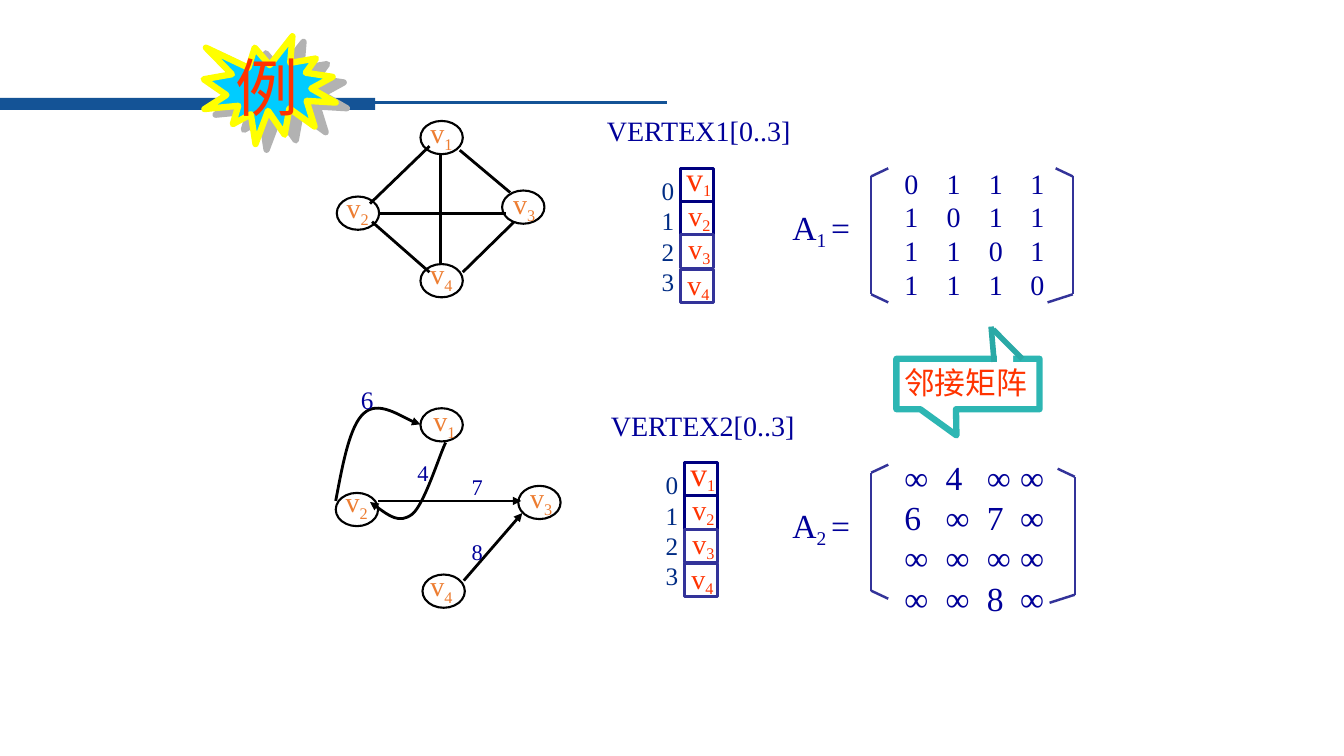
"""Build a slide that pairs two example graphs with their vertex arrays and adjacency matrices."""
from dataclasses import dataclass
from lxml import etree
from pptx import Presentation
from pptx.dml.color import RGBColor
from pptx.enum.shapes import MSO_CONNECTOR, MSO_SHAPE
from pptx.enum.text import MSO_ANCHOR, MSO_AUTO_SIZE, PP_ALIGN
from pptx.oxml.ns import qn
from pptx.util import Pt

PX = 9144
STRAIGHT = MSO_CONNECTOR.STRAIGHT
OVAL, RECT = MSO_SHAPE.OVAL, MSO_SHAPE.RECTANGLE
CALLOUT, BURST = MSO_SHAPE.RECTANGULAR_CALLOUT, MSO_SHAPE.EXPLOSION1
LEFT, CENTER, TOP = PP_ALIGN.LEFT, PP_ALIGN.CENTER, MSO_ANCHOR.TOP
GROW, FIXED = MSO_AUTO_SIZE.SHAPE_TO_FIT_TEXT, MSO_AUTO_SIZE.NONE


@dataclass(frozen=True)
class Theme:
    serif: str = "Times New Roman"
    chinese: str = "Noto Sans CJK SC"
    bar: str = "145396"
    edge: str = "000000"
    node: str = "ED7D31"
    math: str = "000099"
    index: str = "002C84"
    bracket: str = "333399"
    cell: str = "000080"
    accent: str = "FF3300"
    callout: str = "2DB6B3"
    pointer: str = "2AA9A6"
    white: str = "FFFFFF"
    burst: str = "00CCFF"
    burst_edge: str = "FFFF00"
    burst_shadow: str = "B2B2B2"
    title_size: int = 45
    large: int = 24
    caption: int = 22
    body: int = 20
    small: int = 18
    weight: int = 16


@dataclass(frozen=True)
class Node:
    x: int
    y: int
    label_dx: int
    label_dy: int


@dataclass(frozen=True)
class Matrix:
    number: int
    rows: tuple[str, ...]
    y: int
    size: int
    stops: tuple[int, ...]
    name_y: int
    left_y: int
    right_x: int
    right_y: int


THEME = Theme()
UNDIRECTED = [Node(417, 120, 0, -10), Node(334, 195, 0, -11), Node(498, 189, 1, -9), Node(417, 262, 0, -12)]
DIRECTED = [Node(417, 405, 3, -10), Node(333, 489, 0, -13), Node(514, 482, 2, -10), Node(419, 570, -2, -11)]
EDGES = [(367, 202, 426, 145), (376, 212, 502, 212), (437, 154, 437, 262),
         (456, 149, 506, 191), (459, 270, 510, 220), (369, 220, 426, 270)]
ARROWS = [(375, 497, 517, 497), (460, 576, 518, 509)]
CURVES = [("tailEnd", [(333, 497), (340, 460), (347, 422), (361, 410), (375, 397), (407, 419), (417, 421)]),
          ("headEnd", [(367, 498), (382, 509), (396, 520), (409, 510), (421, 500), (436, 451), (442, 439)])]
WEIGHTS = [("6", 348, 376, THEME.small), ("4", 404, 451, THEME.weight),
           ("7", 458, 464, THEME.weight), ("8", 458, 529, THEME.weight)]
CELL_LABELS = [(-4, -15, THEME.large), (-2, 25, THEME.body), (-2, 58, THEME.body), (-3, 93, THEME.body)]
MATRICES = [
    Matrix(1, ("0\t1\t1\t1", "1\t0\t1\t1", "1\t1\t0\t1", "1\t1\t1\t0"),
           160, THEME.body, (42, 84, 125), 200, 175, 1064, 175),
    Matrix(2, ("∞\t4\t∞\t∞", "6\t∞\t7\t∞", "∞\t∞\t∞\t∞", "∞\t∞\t8\t∞"),
           448, THEME.large, (41, 82, 115), 496, 469, 1066, 473),
]

deck = Presentation()
deck.slide_width, deck.slide_height = 1333 * PX, 750 * PX
slide = deck.slides.add_slide(deck.slide_layouts[5])


def style_line(outline, color: str, width: float) -> None:
    outline.color.rgb = RGBColor.from_string(color)
    outline.width = Pt(width)


def add_arrowhead(outline, end: str) -> None:
    etree.SubElement(outline._get_or_add_ln(), qn(f"a:{end}"), type="triangle")


def draw_line(ends: tuple[int, int, int, int], color: str, width: float, arrow: bool = False) -> None:
    connector = slide.shapes.add_connector(STRAIGHT, *(v * PX for v in ends))
    style_line(connector.line, color, width)
    if arrow:
        add_arrowhead(connector.line, "tailEnd")
    etree.SubElement(connector._element.spPr, qn("a:effectLst"))


def draw_shape(kind, box: tuple[int, int, int, int], fill: str = "", line: str = "", width: float = 1):
    shape = slide.shapes.add_shape(kind, *(v * PX for v in box))
    shape.shadow.inherit = False
    if fill:
        shape.fill.solid()
        shape.fill.fore_color.rgb = RGBColor.from_string(fill)
    else:
        shape.fill.background()
    if line:
        style_line(shape.line, line, width)
    else:
        shape.line.fill.background()
    return shape


def style_text(paragraph, size: int, color: str, font: str = THEME.serif) -> None:
    paragraph.font.name = font
    paragraph.font.size = Pt(size)
    paragraph.font.color.rgb = RGBColor.from_string(color)
    etree.SubElement(paragraph.font._element, qn("a:ea"), typeface=THEME.chinese)


def draw_text(box: tuple[int, int, int, int], lines: tuple[str, ...], size: int, color: str,
              font: str = THEME.serif, align=LEFT, wrap: bool = False):
    frame = slide.shapes.add_textbox(*(v * PX for v in box)).text_frame
    frame.word_wrap = wrap
    frame.auto_size = FIXED if wrap else GROW
    for i, line in enumerate(lines):
        paragraph = frame.add_paragraph() if i else frame.paragraphs[0]
        paragraph.alignment = align
        if line:
            paragraph.add_run().text = line
        style_text(paragraph, size, color, font)
    return frame


def draw_subscripted(box: tuple[int, int, int, int], parts: tuple[str, ...], size: int, color: str,
                     drop: int, sub_size: int = 0) -> None:
    paragraph = draw_text(box, ("",), size, color).paragraphs[0]
    for i, part in enumerate(parts):
        run = paragraph.add_run()
        run.text = part
        if i == 1:
            run._r.get_or_add_rPr().set("baseline", str(-1000 * drop))
            if sub_size:
                run.font.size = Pt(sub_size)


def draw_nodes(nodes: list[Node]) -> None:
    for number, node in enumerate(nodes, 1):
        draw_shape(OVAL, (node.x, node.y, 42, 33), line=THEME.edge, width=1.5)
        draw_subscripted((node.x + node.label_dx, node.y + node.label_dy, 44, 44),
                         ("v", str(number)), THEME.body, THEME.node, 25)


def draw_curve(arrow_end: str, points: list[tuple[int, int]]) -> None:
    builder = slide.shapes.build_freeform(*points[0], scale=PX)
    curve = builder.add_line_segments(points[1:], close=False).convert_to_shape()
    segments = curve._element.findall(".//" + qn("a:lnTo"))
    outline = segments[0].getparent()
    for start in range(0, len(segments), 3):
        bezier = etree.SubElement(outline, qn("a:cubicBezTo"))
        for segment in segments[start:start + 3]:
            bezier.append(segment[0])
            outline.remove(segment)
    curve.fill.background()
    curve.shadow.inherit = False
    style_line(curve.line, THEME.edge, 2)
    add_arrowhead(curve.line, arrow_end)


def draw_array(number: int, x: int, y: int) -> None:
    for i in range(4):
        draw_shape(RECT, (x, y + 100 * i // 3, 33, 33), line=THEME.cell if i < 2 else THEME.bracket, width=2)
    for i, (dx, dy, size) in enumerate(CELL_LABELS, 1):
        draw_subscripted((x + dx, y + dy, 46, 44), ("v", str(i)), size, THEME.accent, 18, THEME.body)
    draw_text((x - 83, y - 59, 204, 44), (f"VERTEX{number}[0..3]",), THEME.body, THEME.math)
    draw_text((x - 29, y + 2, 33, 131), ("0", "1", "2", "3"), THEME.small, THEME.index, align=CENTER)


def draw_bracket(x: int, y: int, top_tip: int, bottom_tip: int) -> None:
    bottom = y + 117
    for ends in [(x, y, x, bottom), (x, y, x + top_tip, y - 8), (x, bottom, x + bottom_tip, bottom + 8)]:
        draw_line(ends, THEME.bracket, 1.75)


def draw_matrix(matrix: Matrix) -> None:
    frame = draw_text((887, matrix.y, 192, 172), matrix.rows, matrix.size, THEME.math, wrap=True)
    for paragraph in frame.paragraphs:
        tabs = etree.Element(qn("a:tabLst"))
        for stop in matrix.stops:
            etree.SubElement(tabs, qn("a:tab"), pos=str(stop * PX), algn="l")
        paragraph.font._element.addprevious(tabs)
    draw_bracket(864, matrix.left_y, 17, 17)
    draw_bracket(matrix.right_x, matrix.right_y, -17, -25)
    draw_subscripted((776, matrix.name_y, 80, 51), ("A", f"{matrix.number} ", "="), THEME.large, THEME.math, 22)


def add_shadow(properties, color: str, distance: int, angle: int):
    effects = etree.SubElement(properties, qn("a:effectLst"))
    shadow = etree.SubElement(effects, qn("a:outerShdw"), dist=str(distance), dir=str(angle * 60000))
    etree.SubElement(shadow, qn("a:srgbClr"), val=color)


def draw_callout() -> None:
    bubble = draw_shape(CALLOUT, (889, 356, 142, 50), line=THEME.callout, width=4.5)
    bubble.adjustments[0], bubble.adjustments[1] = -0.08, 1.02
    for ends in [(985, 327, 1014, 356), (983, 324, 986, 359)]:
        draw_line(ends, THEME.pointer, 4)
    draw_shape(RECT, (989, 352, 16, 16), fill=THEME.white)
    frame = draw_text((887, 356, 178, 47), ("邻接矩阵",), THEME.caption, THEME.accent, THEME.chinese, wrap=True)
    add_shadow(frame.paragraphs[0].runs[0]._r.get_or_add_rPr(), THEME.edge, 17961, 45)


def draw_title() -> None:
    burst = draw_shape(BURST, (202, 36, 131, 107), THEME.burst, THEME.burst_edge, 4.5)
    properties = burst._element.spPr
    properties.remove(properties.find(qn("a:effectLst")))
    add_shadow(properties, THEME.burst_shadow, 113030, 27)
    title = slide.shapes.title
    title.left, title.top, title.width, title.height = (v * PX for v in (224, 43, 117, 86))
    title.text_frame.text = "例"
    title.text_frame.vertical_anchor = TOP
    title.text_frame.auto_size = FIXED
    title.text_frame.paragraphs[0].alignment = LEFT
    style_text(title.text_frame.paragraphs[0], THEME.title_size, THEME.accent)
    slide.shapes._spTree.append(title._element)


def main() -> None:
    draw_shape(RECT, (0, 97, 372, 12), fill=THEME.bar)
    draw_line((368, 102, 662, 102), THEME.bar, 2.25)
    draw_nodes(UNDIRECTED)
    for edge in EDGES:
        draw_line(edge, THEME.edge, 2)
    draw_nodes(DIRECTED)
    for arrow in ARROWS:
        draw_line(arrow, THEME.edge, 2, arrow=True)
    for arrow_end, points in CURVES:
        draw_curve(arrow_end, points)
    for weight, x, y, size in WEIGHTS:
        draw_text((x, y, 31, 37), (weight,), size, THEME.math)
    for matrix in MATRICES:
        draw_matrix(matrix)
    draw_callout()
    draw_array(1, 675, 167)
    draw_array(2, 679, 459)
    draw_title()
    deck.save("out.pptx")


if __name__ == "__main__":
    main()
